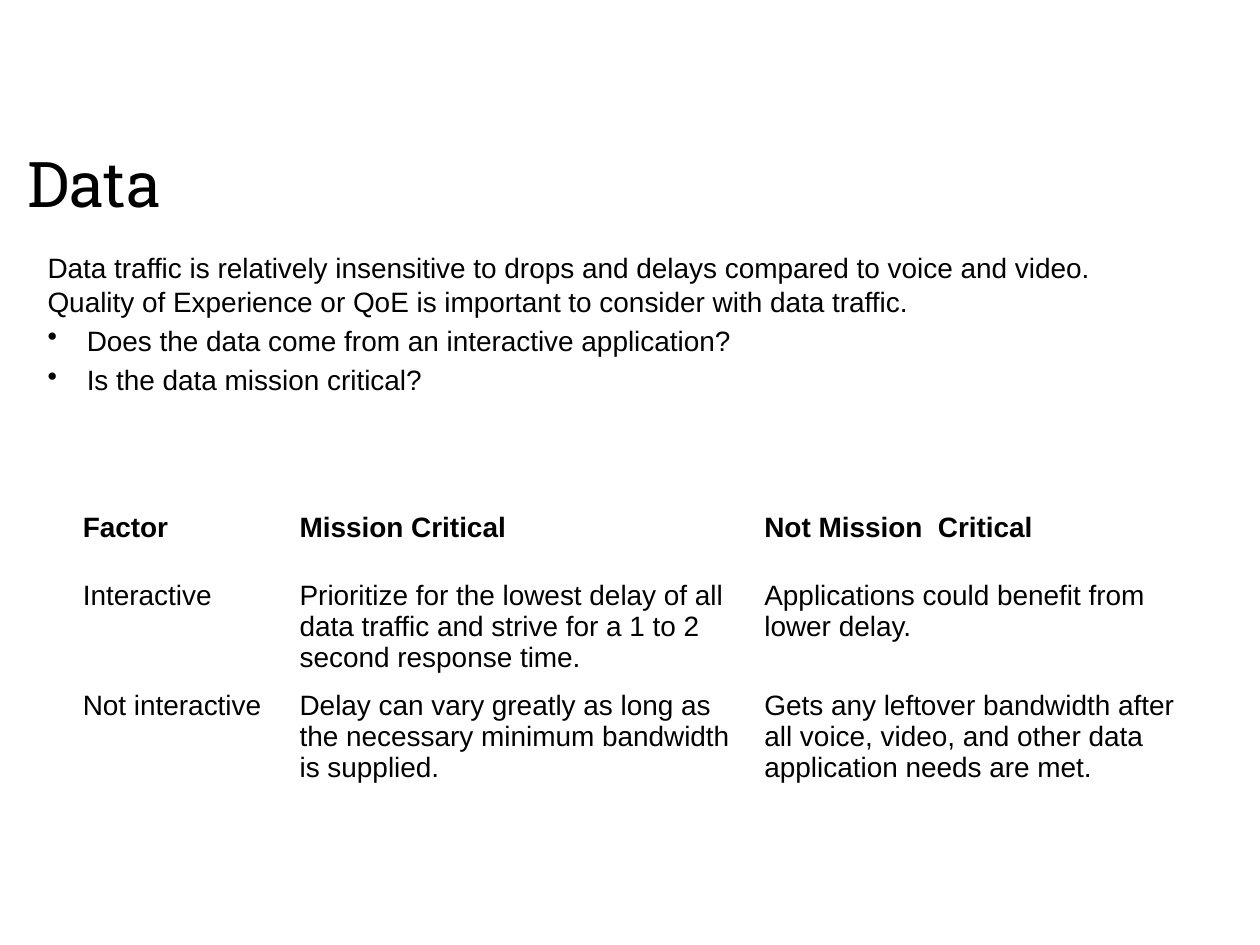
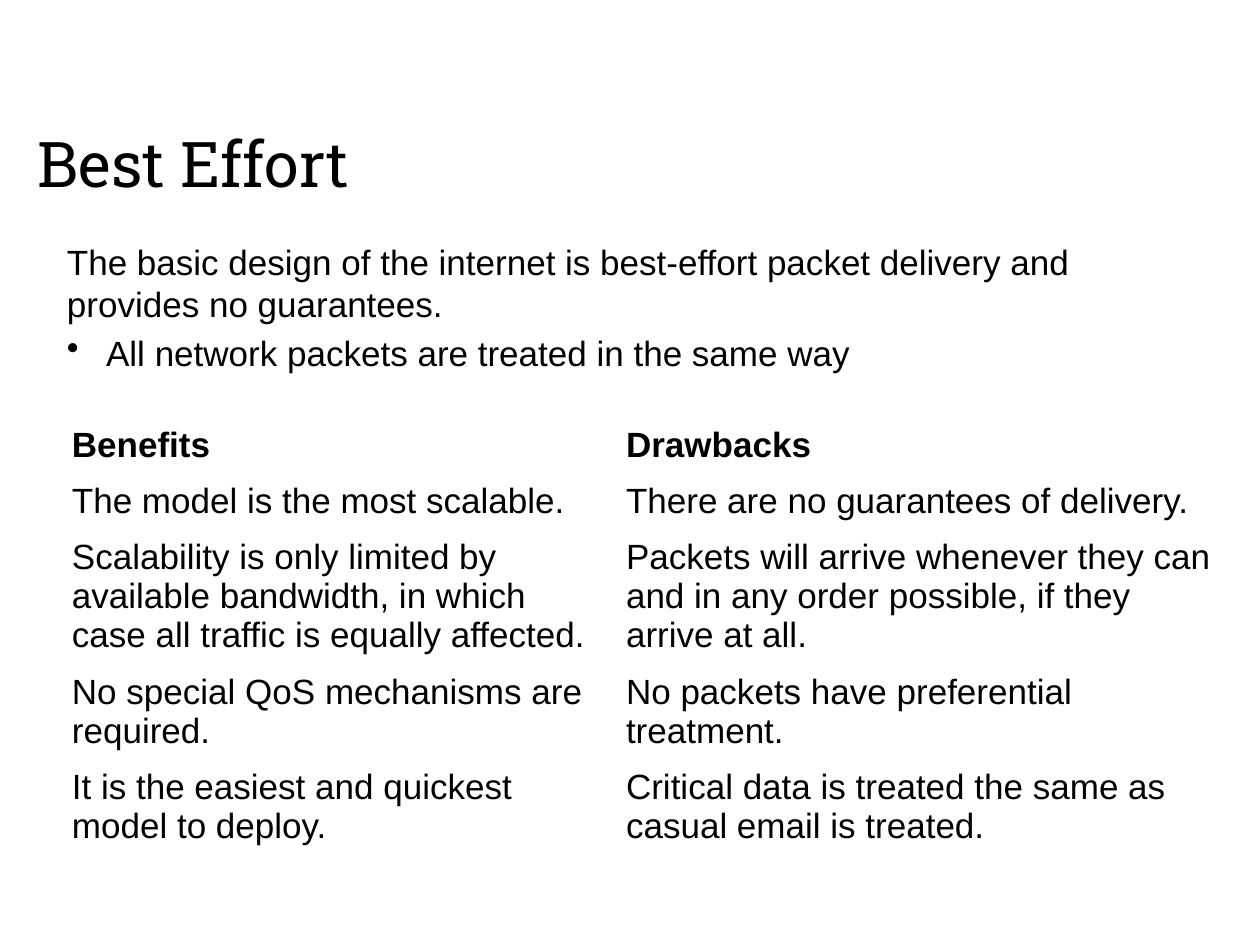
"""Build two slides on data traffic and best-effort delivery, each with a table."""
from lxml.etree import SubElement
from pptx import Presentation
from pptx.dml.color import RGBColor
from pptx.enum.text import MSO_ANCHOR
from pptx.oxml.ns import qn
from pptx.util import Cm, Pt

INK = "000000"
PAPER = "FFFFFF"
TITLE_FONT = "Roboto Slab"
BODY_FONT = "Arial"
SIDE_MARGIN = Cm(0.25)
CELL_TOP_MARGIN = Cm(0.18)
BULLET_INDENT = Cm(0.79)


def colour(hex_value):
    return RGBColor.from_string(hex_value)


def write(frame, text, size, font=BODY_FONT, bold=False, bullet=False):
    frame.word_wrap = True
    frame.margin_left = frame.margin_right = SIDE_MARGIN
    para = frame.paragraphs[0]
    if para.runs:
        para = frame.add_paragraph()
        para.space_before = Pt(size * 0.2)
    if bullet:
        properties = para._p.get_or_add_pPr()
        properties.set("marL", str(BULLET_INDENT))
        properties.set("indent", str(-BULLET_INDENT))
        SubElement(properties, qn("a:buChar")).set("char", "•")
    span = para.add_run()
    span.text = text
    span.font.size = Pt(size)
    span.font.name = font
    span.font.bold = bold
    span.font.color.rgb = colour(INK)


pages = [
    {
        "title": "Data",
        "title_place": (0.3, 2.32, 23.19, 2.72),
        "size": 16,
        "body_place": (0.71, 4.93, 21.97, 4.8),
        "intro": "Data traffic is relatively insensitive to drops and delays compared to voice and video. "
                 "Quality of Experience or QoE is important to consider with data traffic.",
        "bullets": ["Does the data come from an interactive application?",
                    "Is the data mission critical?"],
        "table_corner": (1.42, 10.15),
        "widths": [4.37, 9.37, 9.27],
        "heights": [1.37, 2.22, 2.22],
        "rows": [
            ["Factor", "Mission Critical", "Not Mission  Critical"],
            ["Interactive",
             "Prioritize for the lowest delay of all data traffic and strive for a 1 to 2 second response time.",
             "Applications could benefit from lower delay."],
            ["Not interactive",
             "Delay can vary greatly as long as the necessary minimum bandwidth is supplied.",
             "Gets any leftover bandwidth after all voice, video, and other data application needs are met."],
        ],
    },
    {
        "title": "Best Effort",
        "title_place": (0.51, 1.91, 22.71, 2.72),
        "size": 20,
        "body_place": (1.1, 4.72, 21.97, 6.05),
        "intro": "The basic design of the internet is best-effort packet delivery and provides no guarantees.",
        "bullets": ["All network packets are treated in the same way"],
        "table_corner": (1.2, 8.41),
        "widths": [11.17, 12.33],
        "heights": [1.13, 1.13, 2.71, 1.91, 1.91],
        "rows": [
            ["Benefits", "Drawbacks"],
            ["The model is the most scalable.", "There are no guarantees of delivery."],
            ["Scalability is only limited by available bandwidth, in which case all traffic is equally affected.",
             "Packets will arrive whenever they can and in any order possible, if they arrive at all."],
            ["No special QoS mechanisms are required.", "No packets have preferential treatment."],
            ["It is the easiest and quickest model to deploy.",
             "Critical data is treated the same as casual email is treated."],
        ],
    },
]

deck = Presentation()
deck.slide_width = Cm(25.4)
deck.slide_height = Cm(19.05)

for content in pages:
    page = deck.slides.add_slide(deck.slide_layouts[6])
    size = content["size"]

    title_box = page.shapes.add_textbox(*map(Cm, content["title_place"]))
    title_box.text_frame.vertical_anchor = MSO_ANCHOR.MIDDLE
    write(title_box.text_frame, content["title"], 36, font=TITLE_FONT)

    body_box = page.shapes.add_textbox(*map(Cm, content["body_place"]))
    write(body_box.text_frame, content["intro"], size)
    for bullet_text in content["bullets"]:
        write(body_box.text_frame, bullet_text, size, bullet=True)

    rows, widths, heights = content["rows"], content["widths"], content["heights"]
    left, top = content["table_corner"]
    table = page.shapes.add_table(len(rows), len(widths), Cm(left), Cm(top),
                                  Cm(sum(widths)), Cm(sum(heights))).table
    for column, width in zip(table.columns, widths):
        column.width = Cm(width)
    for row_index, (row, height, texts) in enumerate(zip(table.rows, heights, rows)):
        row.height = Cm(height)
        for cell, text in zip(row.cells, texts):
            cell.fill.solid()
            cell.fill.fore_color.rgb = colour(PAPER)
            write(cell.text_frame, text, size, bold=row_index == 0)
            cell.margin_left = cell.margin_right = SIDE_MARGIN
            cell.margin_top = CELL_TOP_MARGIN
            cell.margin_bottom = 0

deck.save("out.pptx")
